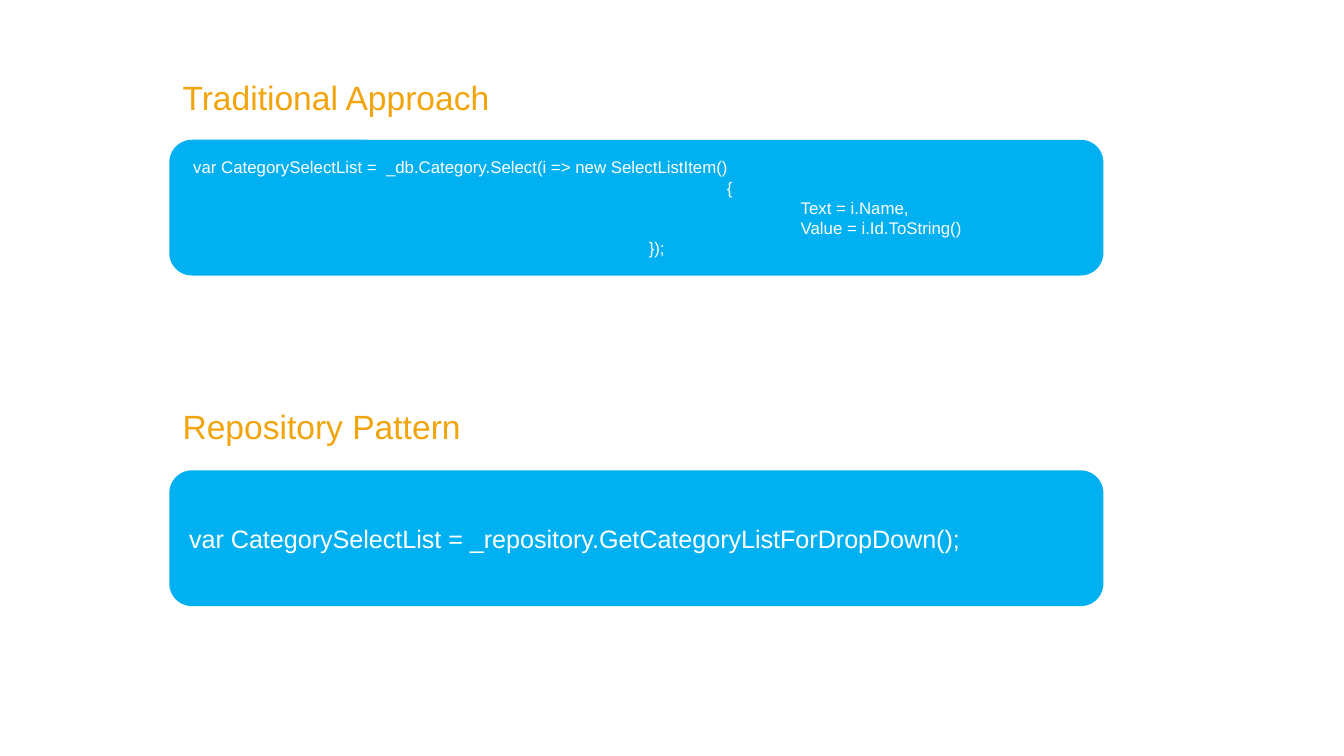
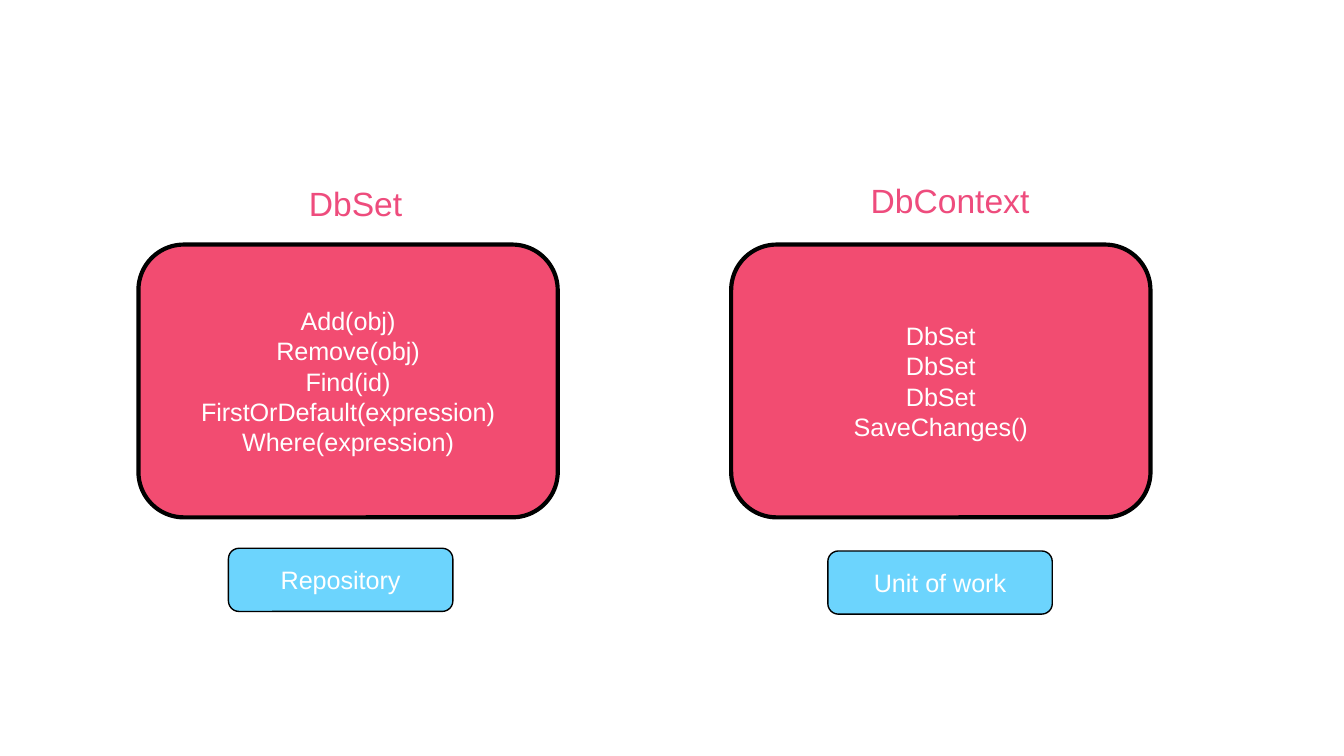
from pptx import Presentation
from pptx.dml.color import RGBColor
from pptx.enum import shapes, text
from pptx.util import Inches, Pt

SLIDE_WIDTH = Inches(10)
SLIDE_HEIGHT = SLIDE_WIDTH * 9 // 16

FONT = "Arial"
WHITE = RGBColor(0xFF, 0xFF, 0xFF)
BLACK = RGBColor(0x00, 0x00, 0x00)
CODE_BLUE = RGBColor(0x00, 0xB0, 0xF0)
ORANGE = RGBColor(0xF2, 0xA4, 0x0D)
CLASS_RED = RGBColor(0xF2, 0x4C, 0x71)
PINK = RGBColor(0xEE, 0x4C, 0x7D)
ROLE_BLUE = RGBColor(0x6C, 0xD4, 0xFD)

HEADING_SIZE = 18
BODY_SIZE = 13.5
CODE_SIZE = 9

# Each code line with its indent in inches
TRADITIONAL_CODE = [
    ("var CategorySelectList =  _db.Category.Select(i => new SelectListItem()", 0.03),
    ("{", 4),
    ("Text = i.Name,", 4.55),
    ("Value = i.Id.ToString()", 4.55),
    ("});", 3.42),
]
REPOSITORY_CODE = [("var CategorySelectList = _repository.GetCategoryListForDropDown();", 0)]

DBSET_MEMBERS = ["Add(obj)", "Remove(obj)", "Find(id)",
                 "FirstOrDefault(expression)", "Where(expression)"]
DBCONTEXT_MEMBERS = ["DbSet", "DbSet", "DbSet", "SaveChanges()"]


def write_lines(frame, lines, size, color, align=text.PP_ALIGN.LEFT):
    """Write (text, indent) lines, one paragraph each."""
    for number, (line, indent) in enumerate(lines):
        paragraph = frame.add_paragraph() if number else frame.paragraphs[0]
        paragraph.text = line
        paragraph.alignment = align
        paragraph.font.name = FONT
        paragraph.font.size = Pt(size)
        paragraph.font.color.rgb = color
        if indent:
            properties = paragraph._p.get_or_add_pPr()
            properties.set("marL", str(Inches(indent)))
            properties.set("indent", "0")


def add_heading(slide, title, left, top, width, color):
    box = slide.shapes.add_textbox(Inches(left), Inches(top), Inches(width), Inches(0.4))
    frame = box.text_frame
    frame.word_wrap = False
    frame.auto_size = text.MSO_AUTO_SIZE.SHAPE_TO_FIT_TEXT
    write_lines(frame, [(title, 0)], HEADING_SIZE, color)


def add_rounded_box(slide, left, top, width, height, fill, line_width=0):
    """Add a rounded box, outlined in black if line_width is given; return its text frame."""
    shape = slide.shapes.add_shape(
        shapes.MSO_SHAPE.ROUNDED_RECTANGLE,
        Inches(left), Inches(top), Inches(width), Inches(height))
    shape.shadow.inherit = False
    shape.fill.solid()
    shape.fill.fore_color.rgb = fill
    if line_width:
        shape.line.color.rgb = BLACK
        shape.line.width = Pt(line_width)
    else:
        shape.line.fill.background()
    frame = shape.text_frame
    frame.word_wrap = True
    frame.vertical_anchor = text.MSO_ANCHOR.MIDDLE
    return frame


def add_code_box(slide, top, lines, size):
    frame = add_rounded_box(slide, 1.26, top, 6.95, 1.01, CODE_BLUE)
    write_lines(frame, lines, size, WHITE)


def add_centered_box(slide, lines, left, top, width, height, fill, line_width):
    frame = add_rounded_box(slide, left, top, width, height, fill, line_width)
    write_lines(frame, [(line, 0) for line in lines], BODY_SIZE, WHITE,
                text.PP_ALIGN.CENTER)


def add_class_box(slide, members, left):
    add_centered_box(slide, members, left, 1.82, 3.12, 2.03, CLASS_RED, 2.25)


def add_role_box(slide, role, left, top):
    add_centered_box(slide, [role], left, top, 1.67, 0.47, ROLE_BLUE, 0.75)


def build_approaches(slide):
    add_code_box(slide, 1.04, TRADITIONAL_CODE, CODE_SIZE)
    add_heading(slide, "Traditional Approach", 1.26, 0.52, 2.51, ORANGE)
    add_code_box(slide, 3.5, REPOSITORY_CODE, BODY_SIZE)
    add_heading(slide, "Repository Pattern", 1.26, 2.97, 2.29, ORANGE)


def build_classes(slide):
    add_class_box(slide, DBSET_MEMBERS, 1.03)
    add_class_box(slide, DBCONTEXT_MEMBERS, 5.44)
    add_heading(slide, "DbSet", 2.2, 1.31, 0.9, PINK)
    add_heading(slide, "DbContext", 6.38, 1.29, 1.39, PINK)
    add_role_box(slide, "Repository", 1.7, 4.08)
    add_role_box(slide, "Unit of work", 6.16, 4.1)


def main():
    presentation = Presentation()
    presentation.slide_width = SLIDE_WIDTH
    presentation.slide_height = SLIDE_HEIGHT
    blank = presentation.slide_layouts[6]
    for build in (build_approaches, build_classes):
        build(presentation.slides.add_slide(blank))
    presentation.save("out.pptx")


if __name__ == "__main__":
    main()
